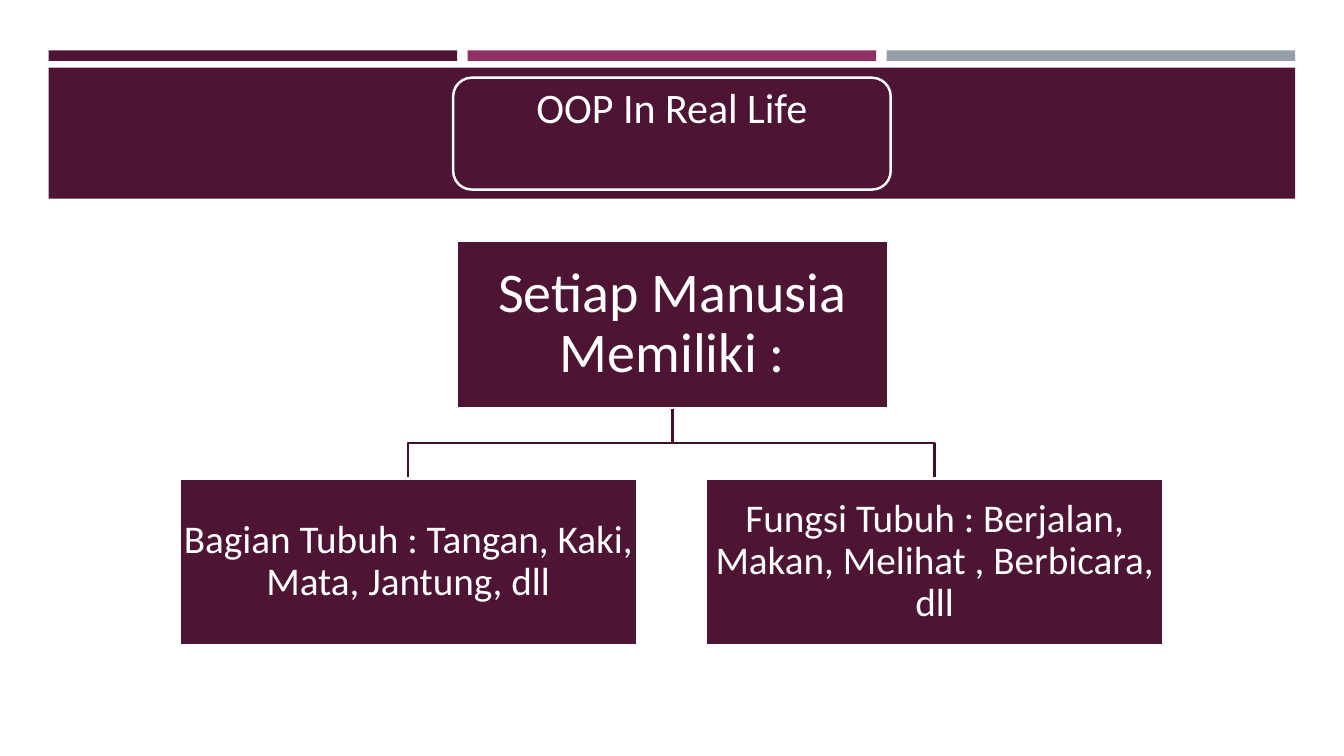
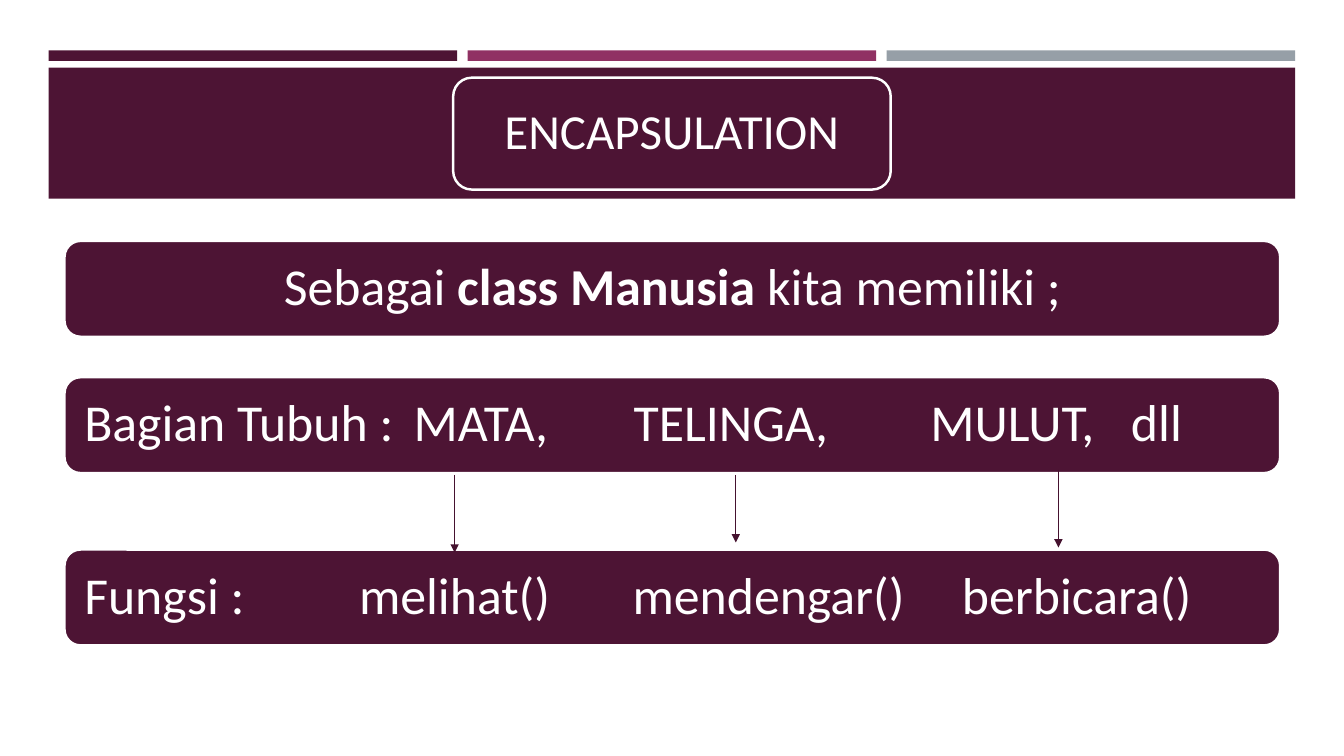
import dataclasses

import lxml.etree
import pptx
import pptx.dml.color
import pptx.enum.shapes
import pptx.enum.text
import pptx.oxml.ns
import pptx.util

SHAPE = pptx.enum.shapes.MSO_SHAPE
ANCHOR = pptx.enum.text.MSO_ANCHOR
ALIGN = pptx.enum.text.PP_ALIGN


@dataclasses.dataclass(frozen=True)
class Theme:
    """Colours, type sizes and line widths of the deck."""
    font: str = "Calibri"
    plum: str = "4D1434"
    berry: str = "903163"
    grey: str = "969FA7"
    white: str = "FFFFFF"
    branch: str = "3E102A"
    arrow: str = "45122F"
    intro_size: int = 30
    title_size: int = 35
    root_size: int = 40
    leaf_size: int = 28
    bar_size: int = 37
    outline: float = 1.75
    thin: float = 1
    leading: float = 0.9


@dataclasses.dataclass(frozen=True)
class Box:
    """A rectangle in EMU whose regions are given in percent of its size."""
    left: int
    top: int
    width: int
    height: int

    def point(self, x, y):
        """Return the spot at x and y percent of the box."""
        return (round(self.left + self.width * x / 100),
                round(self.top + self.height * y / 100))

    def inner(self, x, y, width, height):
        """Return a smaller box inside this one."""
        return Box(*self.point(x, y), round(self.width * width / 100),
                   round(self.height * height / 100))

    def bounds(self):
        """Return left, top, width and height."""
        return self.left, self.top, self.width, self.height


THEME = Theme()
FRAME = (32.45, 18.4, 35.1, 75.5)


def rgb(code):
    """Return the colour for a hex code."""
    return pptx.dml.color.RGBColor.from_string(code)


def draw_line(shape, color, width):
    """Set the colour and width of a line."""
    shape.line.color.rgb = rgb(color)
    shape.line.width = pptx.util.Pt(width)


def add_panel(page, box, kind, fill, outlined=False):
    """Add a filled shape, with a white outline if wanted."""
    panel = page.shapes.add_shape(kind, *box.bounds())
    panel.shadow.inherit = False
    panel.fill.solid()
    panel.fill.fore_color.rgb = rgb(fill)
    if outlined:
        draw_line(panel, THEME.white, THEME.outline)
    else:
        panel.line.fill.background()
    return panel


def style_text(frame, size, margin, anchor=ANCHOR.MIDDLE, align=ALIGN.CENTER):
    """Format all text of a frame in white."""
    frame.word_wrap = True
    frame.auto_size = pptx.enum.text.MSO_AUTO_SIZE.NONE
    frame.vertical_anchor = anchor
    frame.margin_left = frame.margin_right = pptx.util.Inches(margin)
    frame.margin_top = frame.margin_bottom = pptx.util.Inches(min(margin, 0.09))
    for para in frame.paragraphs:
        para.alignment = align
        para.line_spacing = THEME.leading
        for span in para.runs:
            span.font.name = THEME.font
            span.font.size = pptx.util.Pt(size)
            span.font.color.rgb = rgb(THEME.white)


def add_header(page, box):
    """Draw stripes, band and title frame, and move them to the layout."""
    width = 32.77
    step = (100 - width) / 2
    colors = (THEME.plum, THEME.berry, THEME.grey)
    panels = [add_panel(page, box.inner(column * step, 0, width, 7),
                        SHAPE.RECTANGLE, color)
              for column, color in enumerate(colors)]
    panels.append(add_panel(page, box.inner(0, 11.6, 100, 88.4),
                            SHAPE.RECTANGLE, THEME.plum))
    panels.append(add_panel(page, box.inner(*FRAME),
                            SHAPE.ROUNDED_RECTANGLE, THEME.plum, True))
    for panel in panels:
        page.slide_layout.shapes.element.append(panel.element)


def set_title(page, box, text, size, anchor):
    """Place the title inside the header frame."""
    title = page.shapes.title
    title.left, title.top, title.width, title.height = box.inner(*FRAME).bounds()
    title.text_frame.text = text
    style_text(title.text_frame, size, 0.15, anchor)


def add_tree(page, box, root, leaves):
    """Draw a root panel joined to two leaf panels below it."""
    height = 41.3
    leaf_top = 100 - height
    width = 37.65
    lefts = (9.45, 52.75)
    for left in lefts:
        center = left + width / 2
        corners = [box.point(*spot) for spot in
                   ((50, height), (50, 50), (center, 50), (center, leaf_top))]
        builder = page.shapes.build_freeform(*corners[0], scale=1.0)
        builder.add_line_segments(corners[1:], close=False)
        branch = builder.convert_to_shape()
        branch.shadow.inherit = False
        branch.fill.background()
        draw_line(branch, THEME.branch, THEME.outline)
    nodes = [(root, (32.25, 0, 35.5, height), THEME.root_size)]
    nodes += [(leaf, (left, leaf_top, width, height), THEME.leaf_size)
              for leaf, left in zip(leaves, lefts)]
    for text, place, size in nodes:
        node = add_panel(page, box.inner(*place), SHAPE.RECTANGLE, THEME.plum, True)
        node.text_frame.text = text
        style_text(node.text_frame, size, 0.02)


def set_tabs(para, box, stops):
    """Set left tab stops, in percent of the box width."""
    qn = pptx.oxml.ns.qn
    tabs = lxml.etree.SubElement(para._p.get_or_add_pPr(), qn("a:tabLst"))
    for stop in stops:
        lxml.etree.SubElement(tabs, qn("a:tab"), algn="l",
                              pos=str(round(box.width * stop / 100)))


def add_bar(page, box, spans, stops=()):
    """Add a rounded bar; spans are (text, bold) pairs."""
    bar = add_panel(page, box, SHAPE.ROUNDED_RECTANGLE, THEME.plum, True)
    para = bar.text_frame.paragraphs[0]
    for text, bold in spans:
        span = para.add_run()
        span.text = text
        span.font.bold = bold
    style_text(bar.text_frame, THEME.bar_size, 0.15,
               align=ALIGN.LEFT if stops else ALIGN.CENTER)
    if stops:
        set_tabs(para, box, stops)


def add_arrow(page, start, end):
    """Add a thin arrow from start to end."""
    qn = pptx.oxml.ns.qn
    arrow = page.shapes.add_connector(
        pptx.enum.shapes.MSO_CONNECTOR.STRAIGHT, *start, *end)
    draw_line(arrow, THEME.arrow, THEME.thin)
    lxml.etree.SubElement(arrow.line._get_or_add_ln(), qn("a:tailEnd"),
                          type="triangle")
    lxml.etree.SubElement(arrow.element.spPr, qn("a:effectLst"))


def add_bars(page, box, bars, arrows):
    """Stack the bars and draw the arrows between the last two."""
    for top, (spans, stops) in zip((0, 33.7, 76.3), bars):
        add_bar(page, box.inner(0, top, 100, 23.7), spans, stops)
    for x, top, bottom in arrows:
        add_arrow(page, box.point(x, top), box.point(x, bottom))


def main():
    """Build the deck and save it."""
    deck = pptx.Presentation()
    deck.slide_width = pptx.util.Inches(13.33)
    deck.slide_height = pptx.util.Inches(7.5)
    whole = Box(0, 0, deck.slide_width, deck.slide_height)
    header = whole.inner(3.62, 6.67, 92.75, 19.6)
    body = whole.inner(4.8, 31.87, 90.45, 53.5)
    title_only = deck.slide_layouts[5]

    page = deck.slides.add_slide(title_only)
    add_header(page, header)
    set_title(page, header, "OOP In Real Life", THEME.intro_size, ANCHOR.TOP)
    add_tree(page, body, "Setiap Manusia Memiliki :",
             ("Bagian Tubuh : Tangan, Kaki, Mata, Jantung, dll",
              "Fungsi Tubuh : Berjalan, Makan, Melihat , Berbicara, dll"))

    page = deck.slides.add_slide(title_only)
    set_title(page, header, "ENCAPSULATION", THEME.title_size, ANCHOR.MIDDLE)
    bars = (
        ([("Sebagai ", False), ("class Manusia ", True),
          ("kita memiliki ;", False)], ()),
        ([("Bagian Tubuh :\tMATA,\tTELINGA,\tMULUT,\tdll", False)],
         (27.1, 45.2, 69.6, 86.1)),
        ([("Fungsi :\tmelihat()\tmendengar()\tberbicara()", False)],
         (22.6, 45.1, 72.2)),
    )
    arrows = ((32.09, 57.86, 77.06), (81.76, 56.6, 75.81), (55.22, 57.86, 74.56))
    add_bars(page, body, bars, arrows)
    deck.save("out.pptx")


main()
